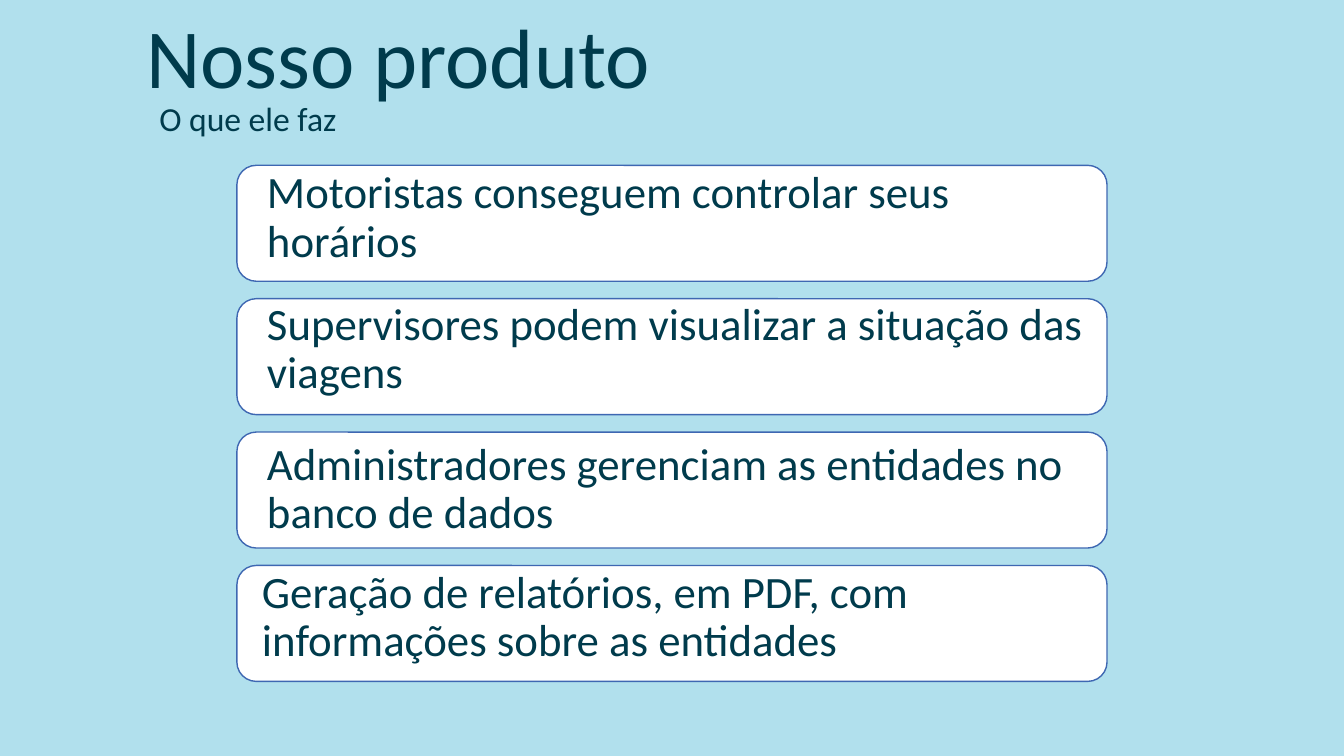
from dataclasses import dataclass

from lxml.etree import SubElement
from pptx import Presentation
from pptx.dml.color import RGBColor as RGB
from pptx.enum.shapes import MSO_SHAPE as Preset
from pptx.enum.text import MSO_ANCHOR as Anchor, MSO_AUTO_SIZE as Fit
from pptx.oxml.ns import qn
from pptx.shapes.base import BaseShape
from pptx.slide import Slide
from pptx.text.text import TextFrame
from pptx.util import Inches, Pt


@dataclass(frozen=True)
class Theme:
    font: str = "Calibri"
    back: RGB = RGB(0xB1, 0xE0, 0xED)
    ink: RGB = RGB(0x00, 0x3B, 0x4C)
    card: RGB = RGB(0xFF, 0xFF, 0xFF)
    edge: RGB = RGB(0x3E, 0x67, 0xB2)
    title: int = 60
    sub: int = 24
    item: int = 32


@dataclass(frozen=True)
class Box:
    left: float
    top: float
    width: float
    height: float


@dataclass(frozen=True)
class Feature:
    text: str
    left: float
    top: float


THEME = Theme()
TITLE = Box(1.35, 0, 11.5, 1.11)
SUB = Box(1.48, 0.97, 11.5, 0.64)
CARD = Box(2.35, 1.64, 8.63, 1.15)
LAST = 5.61
LABEL = (8.43, 1.16)
FEATURES = [
    Feature("Motoristas conseguem controlar seus horários", 2.55, 1.64),
    Feature("Supervisores podem visualizar a situação das viagens", 2.55, 2.94),
    Feature("Administradores gerenciam as entidades no banco de dados", 2.55, 4.33),
    Feature("Geração de relatórios, em PDF, com informações sobre as entidades", 2.5, 5.6),
]


def place(shape: BaseShape, box: Box) -> None:
    shape.left, shape.top = Inches(box.left), Inches(box.top)
    shape.width, shape.height = Inches(box.width), Inches(box.height)


def write(frame: TextFrame, text: str, size: int, anchor: Anchor = Anchor.TOP) -> None:
    """Fill the frame with one unbulleted paragraph."""
    frame.word_wrap = True
    frame.auto_size = Fit.NONE
    frame.vertical_anchor = anchor
    para = frame.paragraphs[0]
    props = para._p.get_or_add_pPr()
    props.set("marL", "0")
    props.set("indent", "0")
    SubElement(props, qn("a:buNone"))
    para.alignment = 1
    para.line_spacing = 0.9
    para.space_before = Pt(0)
    run = para.add_run()
    run.text = text
    run.font.name = THEME.font
    run.font.size = Pt(size)
    run.font.color.rgb = THEME.ink


def add_card(slide: Slide, box: Box) -> None:
    card = slide.shapes.add_shape(
        Preset.ROUNDED_RECTANGLE, Inches(box.left), Inches(box.top),
        Inches(box.width), Inches(box.height))
    card.shadow.inherit = False
    card.fill.solid()
    card.fill.fore_color.rgb = THEME.card
    card.line.color.rgb = THEME.edge
    card.line.width = Pt(1)


def add_label(slide: Slide, item: Feature) -> None:
    width, height = LABEL
    label = slide.shapes.add_textbox(
        Inches(item.left), Inches(item.top), Inches(width), Inches(height))
    write(label.text_frame, item.text, THEME.item)


def main() -> None:
    deck = Presentation()
    deck.slide_width, deck.slide_height = Inches(13.33), Inches(7.5)
    slide = deck.slides.add_slide(deck.slide_layouts[1])
    slide.background.fill.solid()
    slide.background.fill.fore_color.rgb = THEME.back

    title, sub = slide.shapes.title, slide.placeholders[1]
    place(title, TITLE)
    write(title.text_frame, "Nosso produto", THEME.title, Anchor.BOTTOM)
    place(sub, SUB)
    write(sub.text_frame, "O que ele faz", THEME.sub)

    pitch = (LAST - CARD.top) / (len(FEATURES) - 1)
    for row in range(len(FEATURES)):
        add_card(slide, Box(CARD.left, CARD.top + row * pitch, CARD.width, CARD.height))
    for item in FEATURES:
        add_label(slide, item)
    deck.save("out.pptx")


if __name__ == "__main__":
    main()
